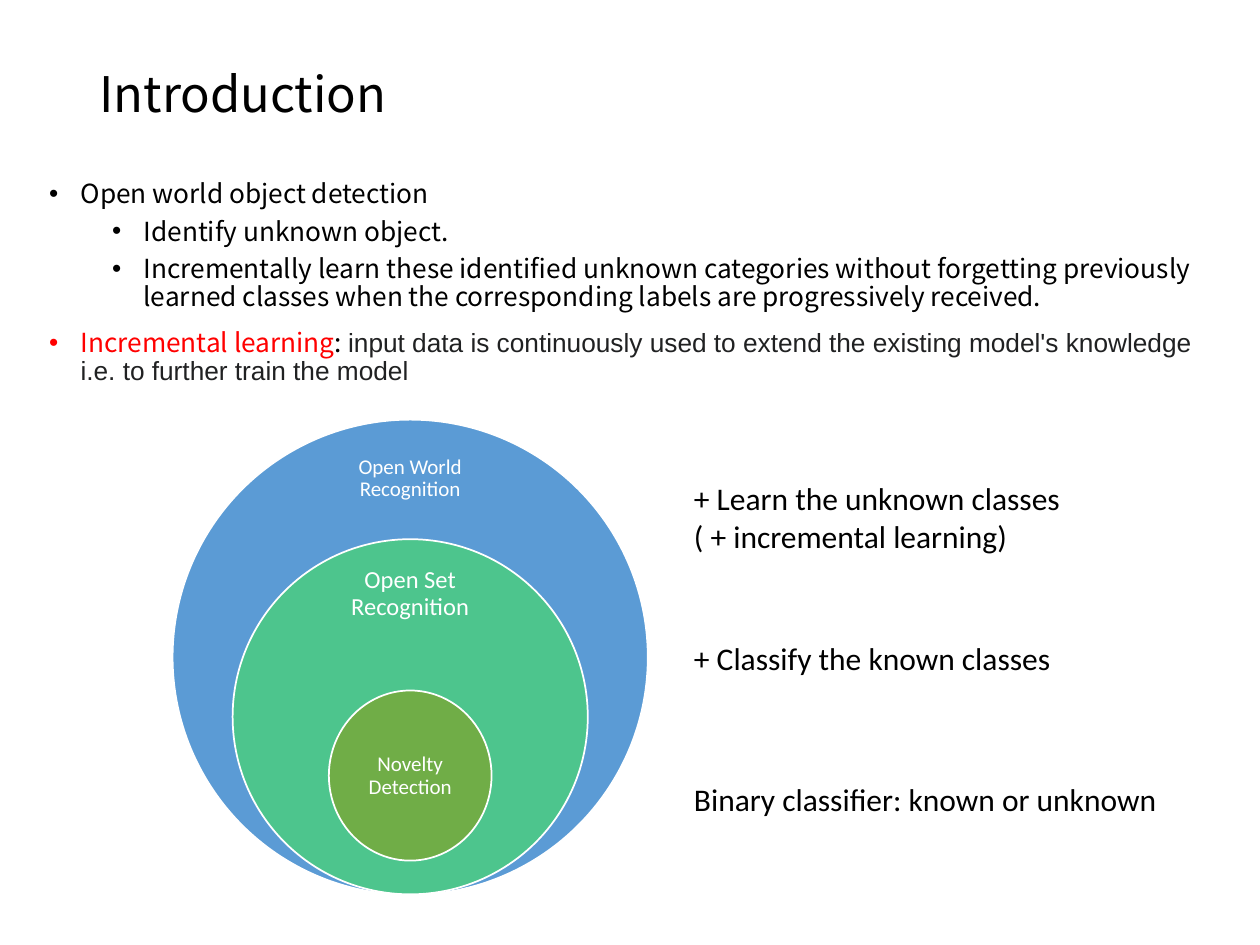
from lxml import etree
from pptx import Presentation
from pptx.dml.color import RGBColor
from pptx.enum.shapes import MSO_SHAPE
from pptx.enum.text import MSO_ANCHOR, PP_ALIGN
from pptx.oxml.ns import qn
from pptx.util import Cm, Pt

OVAL = MSO_SHAPE.OVAL
MID, TOP = MSO_ANCHOR.MIDDLE, MSO_ANCHOR.TOP
LEFT, CENTER = PP_ALIGN.LEFT, PP_ALIGN.CENTER
NOTO, SANS, BODY = "Noto Sans CJK SC", "Arial", "Calibri"
BLACK, WHITE, RED, GREY = "000000", "FFFFFF", "FF0000", "202122"

# Content: bullets are (level, runs), a run is (text, font, colour)
TITLE = "Introduction"
BULLETS = [
    (0, [("Open world object detection", NOTO, BLACK)]),
    (1, [("Identify unknown object.", NOTO, BLACK)]),
    (1, [("Incrementally learn these identified unknown categories without "
          "forgetting previously learned classes when the corresponding "
          "labels are progressively received.", NOTO, BLACK)]),
    (0, [("Incremental learning", NOTO, RED),
         (": ", NOTO, BLACK),
         ("input data is continuously used to extend the existing model's "
          "knowledge i.e. to further train the model", SANS, GREY)]),
]
# Rings: fill, (top, width, height), label, its (top, width, height), size, inset
RINGS = [
    ("5B9BD5", (8.46, 9.58, 9.58), "Open World Recognition",
     (8.94, 3.35, 1.42), 12, 0.23),
    ("4DC58D", (10.87, 7.16, 7.16), "Open Set Recognition",
     (11.3, 3.35, 1.35), 14, 0.28),
    ("70AD47", (13.92, 3.28, 3.43), "Novelty Detection",
     (14.78, 2.31, 1.73), 12, 0.23),
]
# Notes: top, width, height, lines
NOTES = [
    (9.53, 8.99, 1.8, ["+ Learn the unknown classes", "( + incremental learning)"]),
    (12.75, 8.99, 1.02, ["+ Classify the known classes"]),
    (15.6, 10.08, 1.02, ["Binary classifier: known or unknown"]),
]
AXIS = 8.27     # shared centre line of the rings
NOTE_X = 13.74


def color(code):
    return RGBColor.from_string(code)


def style(font, name, size, code):
    font.name, font.size = name, Pt(size)
    font.color.rgb = color(code)


def box(x, y, w, h, anchor=TOP):
    frame = slide.shapes.add_textbox(Cm(x), Cm(y), Cm(w), Cm(h)).text_frame
    frame.word_wrap = True
    frame.vertical_anchor = anchor
    return frame


def add_line(frame, first):
    return frame.paragraphs[0] if first else frame.add_paragraph()


def bullet(para, level):
    props = para._p.get_or_add_pPr()
    props.set("marL", str(Cm(0.635 + 1.27 * level)))
    props.set("indent", str(-Cm(0.635)))
    etree.SubElement(props, qn("a:buFont")).set("typeface", SANS)
    etree.SubElement(props, qn("a:buChar")).set("char", "•")


deck = Presentation()
deck.slide_width, deck.slide_height = Cm(25.4), Cm(19.05)
slide = deck.slides.add_slide(deck.slide_layouts[5])

# Title
title = slide.shapes.title
title.left, title.top, title.width, title.height = map(Cm, (1.75, 1.02, 21.9, 1.85))
title.text_frame.text = TITLE
title.text_frame.vertical_anchor = MID
para = title.text_frame.paragraphs[0]
para.alignment, para.line_spacing = LEFT, 0.9
style(para.font, NOTO, 28, BLACK)

# Bullets
frame = box(0.74, 3.53, 23.95, 4.93)
for i, (level, runs) in enumerate(BULLETS):
    para = add_line(frame, i == 0)
    para.level = level
    bullet(para, level)
    para.line_spacing = 0.9
    if i:
        para.space_before = Pt(5 if level else 10)
    for text, name, code in runs:
        run = para.add_run()
        run.text = text
        style(run.font, name, 15, code)

# Nested rings, each with its label
for fill, (y, w, h), text, (ly, lw, lh), size, inset in RINGS:
    ring = slide.shapes.add_shape(OVAL, Cm(AXIS - w / 2), Cm(y), Cm(w), Cm(h))
    ring.shadow.inherit = False
    ring.fill.solid()
    ring.fill.fore_color.rgb = color(fill)
    ring.line.color.rgb = color(WHITE)
    ring.line.width = Pt(1)
    frame = box(AXIS - lw / 2, ly, lw, lh, MID)
    frame.margin_left = frame.margin_right = Cm(inset)
    frame.margin_top = frame.margin_bottom = Cm(inset)
    para = frame.paragraphs[0]
    para.text = text
    para.alignment, para.line_spacing = CENTER, 0.9
    style(para.font, BODY, size, WHITE)

# Notes beside the rings
for y, w, h, lines in NOTES:
    frame = box(NOTE_X, y, w, h)
    for i, text in enumerate(lines):
        para = add_line(frame, i == 0)
        para.text = text
        style(para.font, BODY, 18, BLACK)

deck.save("out.pptx")
